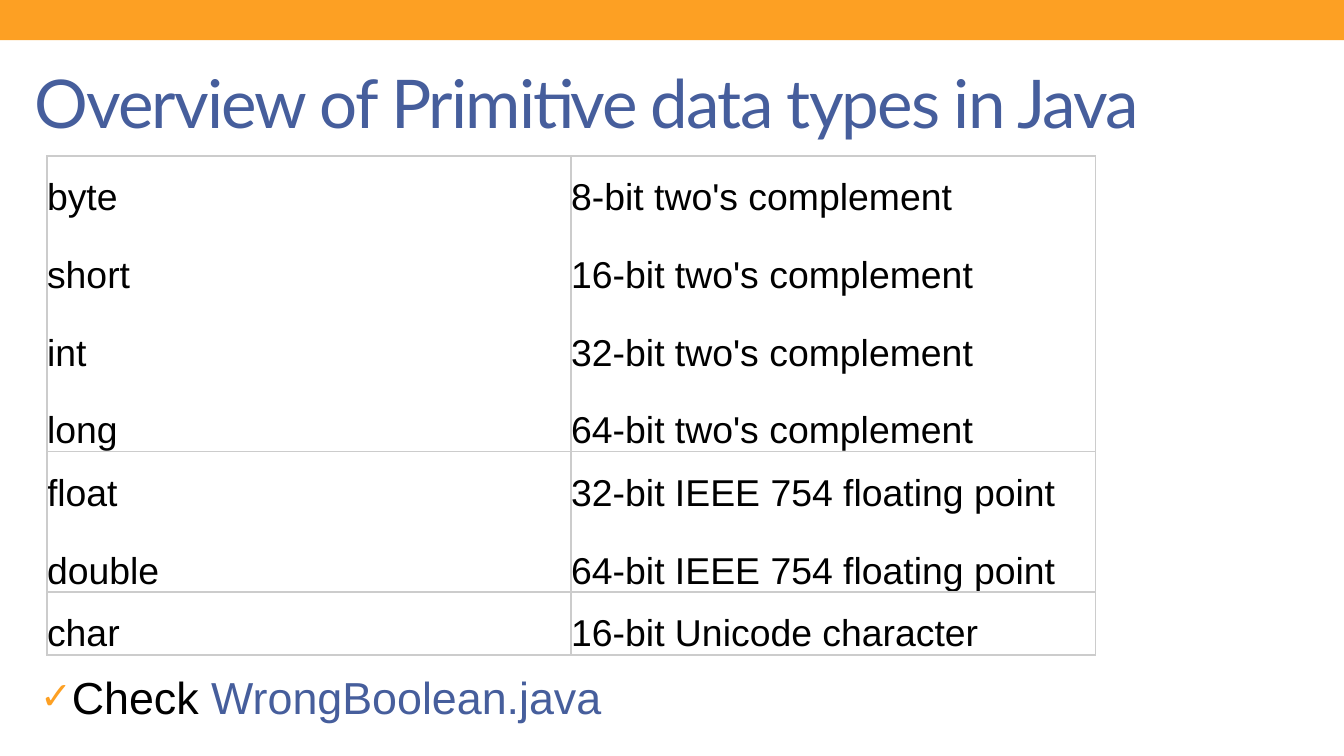
from lxml.etree import SubElement
from pptx import Presentation
from pptx.dml.color import RGBColor
from pptx.enum.shapes import MSO_SHAPE
from pptx.enum.text import MSO_ANCHOR
from pptx.oxml.ns import qn
from pptx.util import Pt

LINE, GAP = 16.8, 24.8  # line height and space between entries in a cell


def paint(code):
    return RGBColor.from_string(code)


def add(node, tag, **attrs):
    return SubElement(node, qn(tag), attrs)


class Page:
    blue, gold, black, gray = "465E9C", "FDA023", "000000", "CCCCCC"
    head, body = "Lato", "Arial"

    def __init__(self, slide):
        self.slide = slide

    def style(self, font, name, size, color):
        font.name, font.size = name, Pt(size)
        font.color.rgb = paint(color)

    def bar(self, x, y, w, h):
        shape = self.slide.shapes.add_shape(
            MSO_SHAPE.RECTANGLE, Pt(x), Pt(y), Pt(w), Pt(h))
        shape.shadow.inherit = False
        shape.fill.solid()
        shape.fill.fore_color.rgb = paint(self.gold)
        shape.line.fill.background()

    def box(self, x, y, w, h):
        frame = self.slide.shapes.add_textbox(Pt(x), Pt(y), Pt(w), Pt(h)).text_frame
        frame.word_wrap = True
        return frame

    def title(self, text, x, y, w, h):
        frame = self.box(x, y, w, h)
        frame.vertical_anchor = MSO_ANCHOR.MIDDLE
        para = frame.paragraphs[0]
        run = para.add_run()
        run.text = text
        self.style(para.font, self.head, 36, self.blue)
        run.font._element.set("spc", "-100")

    def check(self, parts, x, y, w, h):
        para = self.box(x, y, w, h).paragraphs[0]
        props = para._p.get_or_add_pPr()
        props.set("marL", str(Pt(14.4)))
        props.set("indent", str(-Pt(14.4)))
        add(add(props, "a:buClr"), "a:srgbClr", val=self.gold)
        add(props, "a:buSzPct", val="85000")
        add(props, "a:buFont", typeface=self.body)
        add(props, "a:buChar", char="✓")
        for text, color in parts:
            run = para.add_run()
            run.text = text
            self.style(run.font, self.body, 24, color)

    def cell(self, cell, lines):
        cell.margin_left = cell.margin_right = cell.margin_bottom = 0
        cell.margin_top = Pt(LINE)
        props = cell._tc.get_or_add_tcPr()
        for side in "LRTB":
            edge = add(props, f"a:ln{side}", w=str(Pt(1)))
            add(add(edge, "a:solidFill"), "a:srgbClr", val=self.gray)
        cell.fill.background()
        frame = cell.text_frame
        for i, text in enumerate(lines):
            para = frame.add_paragraph() if i else frame.paragraphs[0]
            para.text = text
            para.line_spacing = Pt(LINE)
            if i:
                para.space_before = Pt(GAP)
            self.style(para.font, self.body, 20, self.black)

    def table(self, groups, x, y, w):
        highs = [(LINE + GAP) * len(group) + LINE - GAP + LINE for group in groups]
        table = self.slide.shapes.add_table(
            len(groups), 2, Pt(x), Pt(y), Pt(w), Pt(sum(highs))).table
        table.first_row = table.horz_banding = False
        for r, group in enumerate(groups):
            table.rows[r].height = Pt(highs[r] - LINE)
            for c, lines in enumerate(zip(*group)):
                self.cell(table.cell(r, c), lines)


deck = Presentation()
deck.slide_width, deck.slide_height = Pt(720), Pt(405)
page = Page(deck.slides.add_slide(deck.slide_layouts[6]))

# Top band and title
page.bar(0, 0, 720, 21.6)
page.title("Overview of Primitive data types in Java", 11.5, 25.2, 648, 58.3)

# Types, grouped by kind
page.table([
    [("byte", "8-bit two's complement"),
     ("short", "16-bit two's complement"),
     ("int", "32-bit two's complement"),
     ("long", "64-bit two's complement")],
    [("float", "32-bit IEEE 754 floating point"),
     ("double", "64-bit IEEE 754 floating point")],
    [("char", "16-bit Unicode character")],
], 25.2, 83.5, 561.6)

# Example file
page.check([("Check ", page.black), ("WrongBoolean.java", page.blue)],
           14.4, 355, 669.6, 36)

deck.save("out.pptx")
